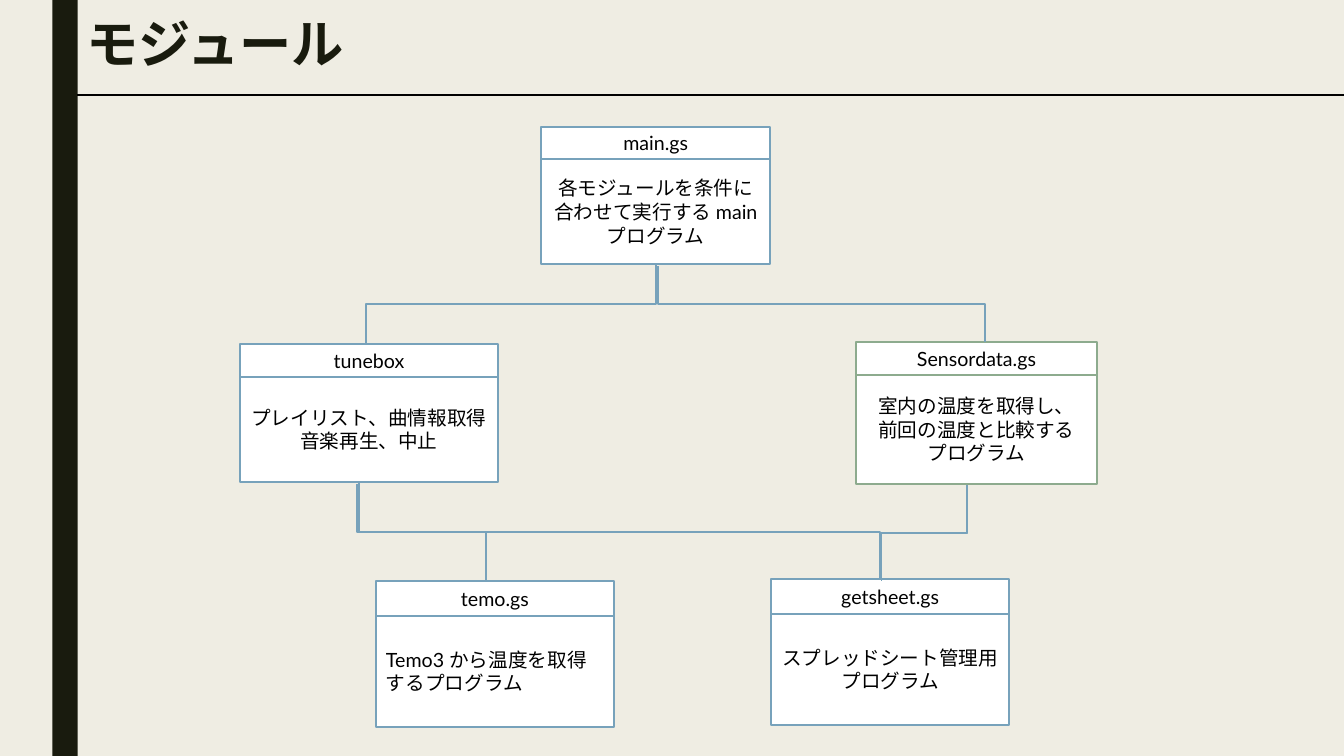
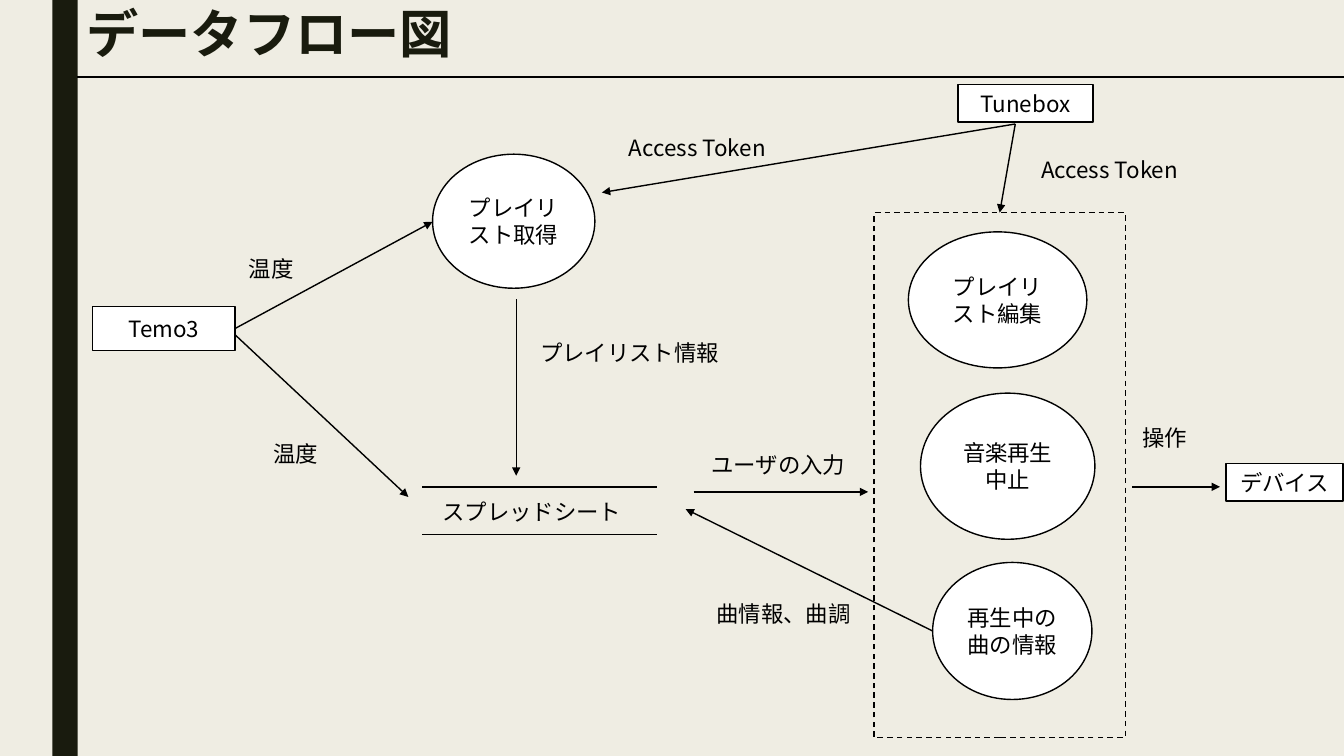
import pptx
import pptx.dml.color
import pptx.enum.dml
import pptx.enum.shapes
import pptx.enum.text
import pptx.oxml.ns
import pptx.util
import lxml.etree

Inches = pptx.util.Inches
Pt = pptx.util.Pt
qn = pptx.oxml.ns.qn
SHAPE = pptx.enum.shapes.MSO_SHAPE
CONNECTOR = pptx.enum.shapes.MSO_CONNECTOR
ALIGN = pptx.enum.text.PP_ALIGN
ANCHOR = pptx.enum.text.MSO_ANCHOR

BACKGROUND, DARK = "EFEDE3", "191B0E"
BLACK, WHITE = "000000", "FFFFFF"
BLUE, GREEN = "77A2BB", "8DAB8E"
CJK = "Noto Sans CJK JP"
TITLE = {"size": Pt(37.3), "name": "Arial", "bold": True}
MODULE = {"size": Pt(14), "name": "Lato"}
FLOW = {"size": Pt(16), "name": CJK}


def rgb(value):
    return pptx.dml.color.RGBColor.from_string(value)


class Deck:
    def __init__(self):
        self.prs = pptx.Presentation()
        self.prs.slide_width = Inches(13.33)
        self.prs.slide_height = Inches(7.5)
        fill = self.prs.slide_master.background.fill
        fill.solid()
        fill.fore_color.rgb = rgb(BACKGROUND)

    def new_slide(self, title, title_top, title_width, rule_y):
        self.s = self.prs.slides.add_slide(self.prs.slide_layouts[6])
        self.box((0.52, 0, 0.25, 7.5), fill=DARK)
        self.line((0.76, rule_y), (13.33, rule_y), width=1.5)
        sp = self.label(title, (0.76, title_top, title_width, 0.84), TITLE, DARK)
        sp.text_frame.margin_top = 0
        sp.text_frame.paragraphs[0].line_spacing = 0.89

    def set_text(self, sp, text, style, color=BLACK, align=ALIGN.LEFT, anchor=ANCHOR.TOP):
        tf = sp.text_frame
        tf.word_wrap = True
        tf.vertical_anchor = anchor
        tf.text = text
        for p in tf.paragraphs:
            p.alignment = align
            for r in p.runs:
                for key, value in style.items():
                    setattr(r.font, key, value)
                r.font.color.rgb = rgb(color)
                ea = lxml.etree.SubElement(r.font._element, qn("a:ea"))
                ea.set("typeface", CJK)

    def label(self, text, at, style=FLOW, color=BLACK):
        sp = self.s.shapes.add_textbox(*map(Inches, at))
        self.set_text(sp, text, style, color)
        return sp

    def box(self, at, text="", style=FLOW, fill=None, line=None, width=1,
            kind=SHAPE.RECTANGLE, align=ALIGN.CENTER, dashed=False):
        sp = self.s.shapes.add_shape(kind, *map(Inches, at))
        sp.shadow.inherit = False
        if fill:
            sp.fill.solid()
            sp.fill.fore_color.rgb = rgb(fill)
        else:
            sp.fill.background()
        if line:
            sp.line.color.rgb = rgb(line)
            sp.line.width = Pt(width)
        else:
            sp.line.fill.background()
        if dashed:
            sp.line.dash_style = pptx.enum.dml.MSO_LINE.DASH
        if text:
            self.set_text(sp, text, style, align=align, anchor=ANCHOR.MIDDLE)
        return sp

    def module(self, name, body, at, head, color=BLUE, align=ALIGN.CENTER):
        left, top, width, height = at
        parts = [(name, top, head, ALIGN.CENTER),
                 (body, top + head, height - head, align)]
        for text, y, h, side in parts:
            self.box((left, y, width, h), text, MODULE, WHITE, color, 1.5, align=side)

    def node(self, text, at, kind=SHAPE.RECTANGLE):
        return self.box(at, text, fill=WHITE, line=BLACK, kind=kind)

    def line(self, start, end, color=BLACK, width=1, kind=CONNECTOR.STRAIGHT):
        sp = self.s.shapes.add_connector(kind, *map(Inches, (*start, *end)))
        sp.line.color.rgb = rgb(color)
        sp.line.width = Pt(width)
        lxml.etree.SubElement(sp._element.spPr, qn("a:effectLst"))
        return sp

    def arrow(self, start, end):
        sp = self.line(start, end)
        ln = sp._element.spPr.find(qn("a:ln"))
        lxml.etree.SubElement(ln, qn("a:tailEnd")).set("type", "triangle")
        return sp

    def elbow(self, top, bottom, width):
        (x1, y1), (x2, y2) = top, bottom
        cx, cy = (x1 + x2) / 2, (y1 + y2) / 2
        dx, dy = (x2 - x1) / 2, (y2 - y1) / 2
        sp = self.line((cx - dy, cy + dx), (cx + dy, cy - dx), BLUE, width, CONNECTOR.ELBOW)
        sp._element.spPr.find(qn("a:xfrm")).set("rot", str(90 * 60000))


def modules_slide(deck):
    deck.new_slide("モジュール", 0.19, 2.97, 0.94)
    deck.module("getsheet.gs", "スプレッドシート管理用プログラム", (7.65, 5.74, 2.36, 1.45), 0.35)
    deck.module("tunebox", "プレイリスト、曲情報取得\n音楽再生、中止", (2.38, 3.41, 2.56, 1.37), 0.33)
    deck.module("main.gs", "各モジュールを条件に合わせて実行する main プログラム",
                (5.37, 1.26, 2.27, 1.36), 0.32)
    deck.module("Sensordata.gs", "室内の温度を取得し、\v前回の温度と比較する\vプログラム",
                (8.49, 3.39, 2.39, 1.41), 0.33, GREEN)
    deck.module("temo.gs", "Temo3 から温度を取得するプログラム",
                (3.73, 5.76, 2.36, 1.45), 0.35, align=ALIGN.LEFT)
    for top, bottom, width in [
        ((6.51, 2.61), (3.63, 3.42), 1.5),
        ((6.53, 2.64), (9.77, 3.39), 1.5),
        ((3.54, 4.8), (8.73, 5.75), 1.5),
        ((9.59, 4.83), (8.74, 5.76), 1),
        ((3.56, 4.78), (4.82, 5.76), 1),
        ((9.59, 4.81), (4.82, 5.76), 1),
    ]:
        deck.elbow(top, bottom, width)


def data_flow_slide(deck):
    deck.new_slide("データフロー図", 0.09, 3.97, 0.76)
    sensor = deck.node("Temo3", (0.92, 3.04, 1.41, 0.44))
    deck.node("Tunebox", (9.5, 0.84, 1.34, 0.37))
    deck.node("デバイス", (12.16, 4.6, 1.16, 0.37))
    player = deck.box((8.67, 2.11, 2.49, 5.21), line=BLACK, dashed=True)
    for text, at in [
        ("プレイリスト取得", (4.29, 1.53, 1.61, 1.33)),
        ("プレイリスト編集", (9.01, 2.3, 1.77, 1.35)),
        ("音楽再生\v中止", (9.13, 3.9, 1.73, 1.45)),
        ("再生中の曲の情報", (9.25, 5.58, 1.58, 1.36)),
    ]:
        deck.node(text, at, SHAPE.OVAL)
    for y in (4.83, 5.3):
        deck.line((4.19, y), (6.52, y))
    for text, left, top, width in [
        ("温度", 2.37, 2.48, 1.28),
        ("温度", 2.61, 4.32, 1.26),
        ("スプレッドシート", 4.29, 4.89, 2.22),
        ("プレイリスト情報", 5.26, 3.32, 1.99),
        ("ユーザの入力", 6.96, 4.43, 1.58),
        ("曲情報、曲調", 7.01, 5.9, 1.63),
        ("Access Token", 6.14, 1.28, 1.67),
        ("Access Token", 10.23, 1.5, 1.56),
        ("操作", 11.23, 4.16, 1.58),
    ]:
        deck.label(text, (left, top, width, 0.37))
    deck.arrow((2.33, 3.26), (4.29, 2.2)).begin_connect(sensor, 3)
    deck.arrow((10.07, 1.23), (9.92, 2.11)).end_connect(player, 0)
    for start, end in [
        ((2.33, 3.32), (4.05, 4.93)),
        ((5.12, 2.97), (5.12, 4.72)),
        ((6.88, 4.88), (8.61, 4.88)),
        ((9.25, 6.26), (6.8, 5.05)),
        ((10.07, 1.23), (5.97, 1.91)),
        ((11.23, 4.83), (12.1, 4.83)),
    ]:
        deck.arrow(start, end)


def main():
    deck = Deck()
    modules_slide(deck)
    data_flow_slide(deck)
    deck.prs.save("out.pptx")


if __name__ == "__main__":
    main()
